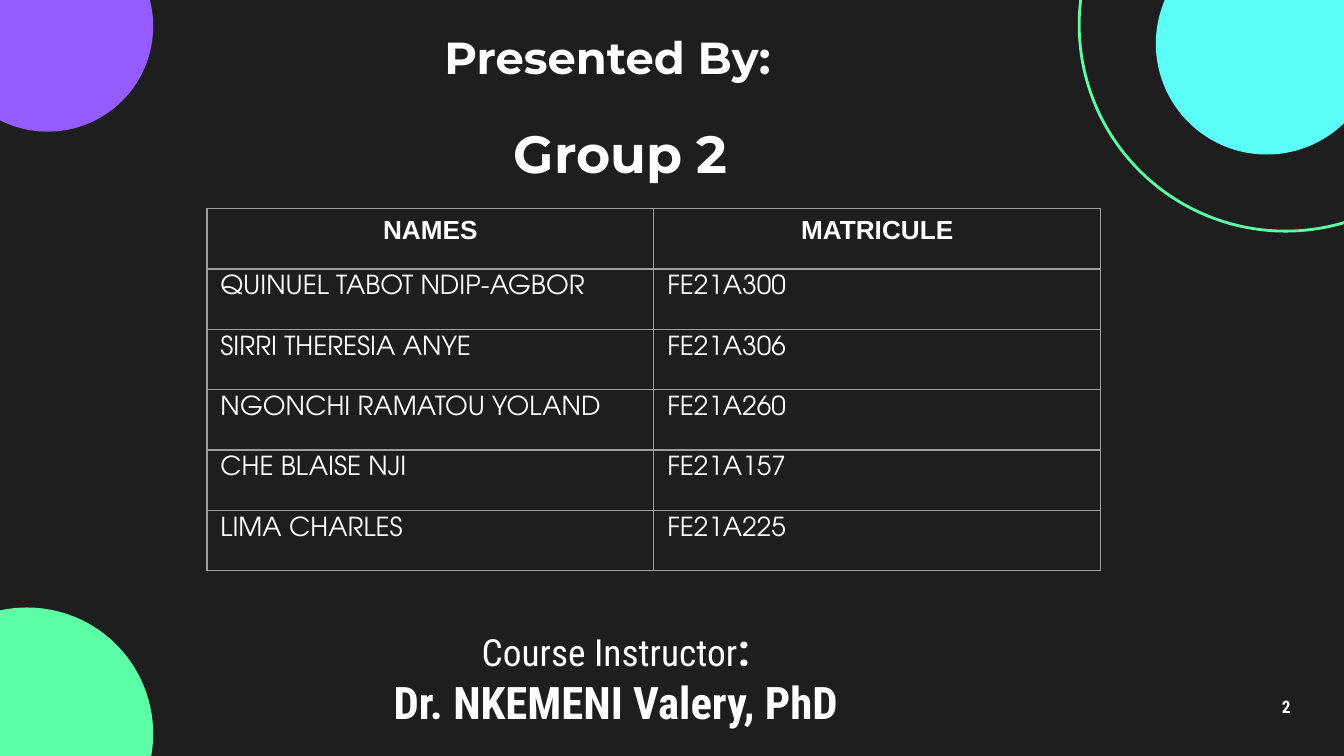
from pptx import Presentation
from pptx.dml.color import RGBColor
from pptx.enum.shapes import MSO_SHAPE as Shape
from pptx.enum.text import MSO_ANCHOR as Anchor, PP_ALIGN as Align
from pptx.oxml import parse_xml
from pptx.oxml.ns import nsdecls
from pptx.util import Inches, Pt

WIDTH = 10
HEIGHT = WIDTH * 9 / 16
WHITE, GREEN, CYAN, PURPLE = "FFFFFF", "5CFFA6", "5CFFF8", "955CFF"
BACKGROUND, BORDER = "1E1E1E", "9E9E9E"
HEADING, BODY = "Montserrat", "Roboto Condensed"
TABLE_HEAD, TABLE_BODY = "Arial", "TeX Gyre Adventor"

MEMBERS = [
    ("NAMES", "MATRICULE"),
    ("QUINUEL TABOT NDIP-AGBOR", "FE21A300"),
    ("SIRRI THERESIA ANYE", "FE21A306"),
    ("NGONCHI RAMATOU YOLAND", "FE21A260"),
    ("CHE BLAISE NJI", "FE21A157"),
    ("LIMA CHARLES", "FE21A225"),
]


def paint(color_format, color):
    color_format.rgb = RGBColor.from_string(color)


def share(left, top, width, height):
    """Turn shares of the slide's width and height into lengths."""
    return [Inches(part * side) for part, side in
            zip((left, top, width, height), (WIDTH, HEIGHT) * 2)]


def add_circle(page, left, top, size, fill=None, line=None):
    """Add a circle; left, top and size are shares of the slide's width."""
    circle = page.shapes.add_shape(
        Shape.OVAL, *[Inches(part * WIDTH) for part in (left, top, size, size)])
    circle.shadow.inherit = False
    if fill:
        circle.fill.solid()
        paint(circle.fill.fore_color, fill)
    else:
        circle.fill.background()
    if line:
        paint(circle.line.color, line)
        circle.line.width = Pt(1.5)
    else:
        circle.line.fill.background()


def add_span(para, text, size, font, bold=True):
    span = para.add_run()
    span.text = text
    span.font.size = Pt(size)
    span.font.name = font
    span.font.bold = bold
    paint(span.font.color, WHITE)


def add_text(page, place, lines, spacing=None):
    """Add a centred text box; each line is a list of add_span arguments."""
    frame = page.shapes.add_textbox(*share(*place)).text_frame
    frame.word_wrap = True
    frame.vertical_anchor = Anchor.MIDDLE
    frame.margin_left = frame.margin_right = Inches(0.1)
    frame.margin_top = frame.margin_bottom = Inches(0.1)
    for index, spans in enumerate(lines):
        para = frame.add_paragraph() if index else frame.paragraphs[0]
        para.alignment = Align.CENTER
        para.line_spacing = spacing
        for span in spans:
            add_span(para, *span)


def add_borders(cell):
    properties = cell._tc.get_or_add_tcPr()
    for index, side in enumerate("LRTB"):
        properties.insert(index, parse_xml(
            f'<a:ln{side} {nsdecls("a")} w="{Pt(0.75)}"><a:solidFill>'
            f'<a:srgbClr val="{BORDER}"/></a:solidFill></a:ln{side}>'))


def add_members(page, place):
    rows, columns = len(MEMBERS), len(MEMBERS[0])
    table = page.shapes.add_table(rows, columns, *share(*place)).table
    for row, values in enumerate(MEMBERS):
        is_head = row == 0
        for column, value in enumerate(values):
            cell = table.cell(row, column)
            cell.fill.background()
            add_borders(cell)
            cell.vertical_anchor = Anchor.TOP
            cell.margin_left = cell.margin_right = Inches(0.1)
            cell.margin_top = cell.margin_bottom = Inches(0.05)
            para = cell.text_frame.paragraphs[0]
            para.alignment = Align.CENTER if is_head else Align.LEFT
            add_span(para, value, 14, TABLE_HEAD if is_head else TABLE_BODY, is_head)


def main():
    deck = Presentation()
    deck.slide_width, deck.slide_height = Inches(WIDTH), Inches(HEIGHT)
    page = deck.slides.add_slide(deck.slide_layouts[6])
    page.background.fill.solid()
    paint(page.background.fill.fore_color, BACKGROUND)

    add_circle(page, 0.803, -0.135, 0.307, line=GREEN)
    add_circle(page, -0.074, 0.452, 0.188, fill=GREEN)
    add_circle(page, 0.86, -0.05, 0.165, fill=CYAN)
    add_circle(page, -0.043, -0.059, 0.157, fill=PURPLE)

    add_text(page, (0.927, 0.907, 0.06, 0.06), [[("2", 9.2, BODY)]], spacing=0.9)
    add_text(page, (0.25, 0, 0.404, 0.15), [[("Presented By:", 24, HEADING)]])
    add_text(page, (0.26, 0.127, 0.404, 0.15), [[("Group 2", 28, HEADING)]])
    add_members(page, (0.154, 0.276, 0.665, 0.479))
    add_text(page, (0.26, 0.818, 0.404, 0.15), [
        [("Course Instructor", 20, BODY, False), (": ", 24, BODY)],
        [("Dr. NKEMENI Valery, PhD ", 24, BODY)],
    ])
    deck.save("out.pptx")


if __name__ == "__main__":
    main()
